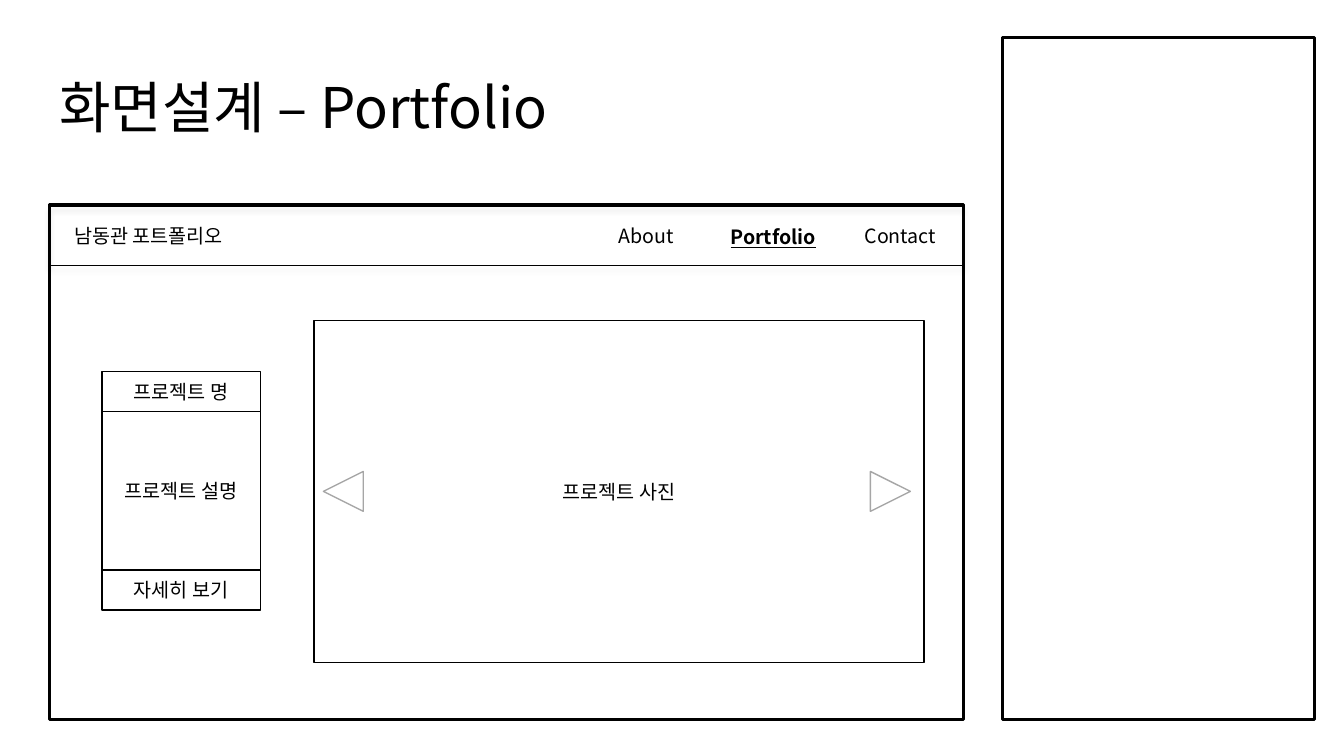
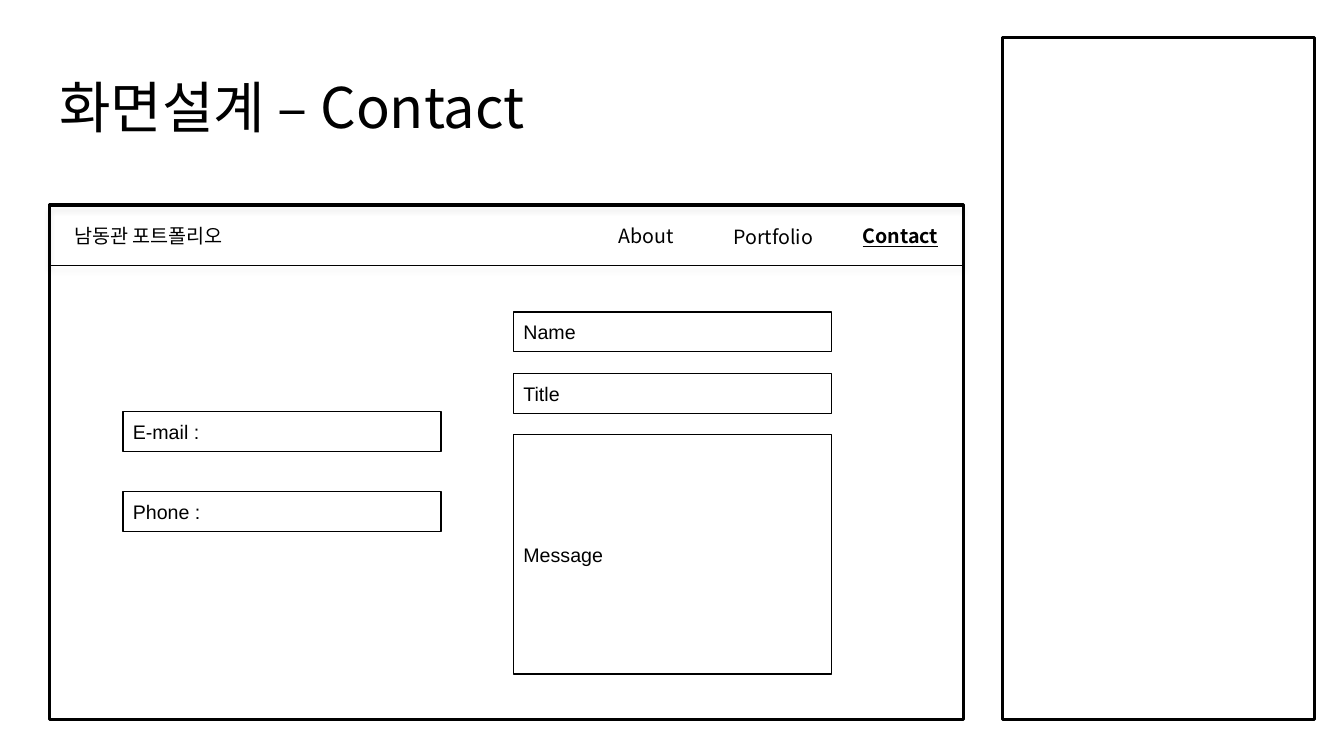
from typing import NamedTuple

from lxml import etree
from pptx import Presentation
from pptx.dml.color import RGBColor
from pptx.enum.shapes import MSO_SHAPE
from pptx.enum.text import MSO_ANCHOR, MSO_AUTO_SIZE, PP_ALIGN
from pptx.oxml.ns import qn
from pptx.presentation import Presentation as Deck
from pptx.shapes.autoshape import Shape
from pptx.slide import Slide
from pptx.util import Emu, Pt

RECTANGLE = MSO_SHAPE.RECTANGLE
LEFT_ARROW, RIGHT_ARROW = MSO_SHAPE.LEFT_ARROW, MSO_SHAPE.RIGHT_ARROW
LEFT, CENTER = PP_ALIGN.LEFT, PP_ALIGN.CENTER
MIDDLE = MSO_ANCHOR.MIDDLE
NO_AUTOFIT = MSO_AUTO_SIZE.NONE

BLACK = RGBColor(0x00, 0x00, 0x00)
WHITE = RGBColor(0xFF, 0xFF, 0xFF)
GRAY = RGBColor(0xA6, 0xA6, 0xA6)
KOREAN_FONT = "Noto Sans CJK KR"
FORM_FONT = "Arial"

EMU_PER_PX = 9525
PAGE_WIDTH, PAGE_HEIGHT = 1280, 720
TITLE_ONLY = 5
ROW_HEIGHT = 38


class Box(NamedTuple):
    left: int
    top: int
    width: int
    height: int

    def emu(self) -> tuple[Emu, ...]:
        return tuple(Emu(length * EMU_PER_PX) for length in self)


class Field(NamedTuple):
    text: str
    box: Box


class Tab(NamedTuple):
    text: str
    top: int


TITLE = Box(47, 36, 871, 139)
SCREEN = Box(47, 195, 871, 490)
NOTES_PANEL = Box(955, 36, 297, 649)
NAV_BAR = Box(47, 196, 871, 57)
BRAND = Field("남동관 포트폴리오", NAV_BAR._replace(width=189))
TABS = (Tab("About", 196), Tab("Portfolio", 197), Tab("Contact", 196))
TAB_WIDTH = 121

PHOTO = Field("프로젝트 사진", Box(299, 305, 581, 326))
CARD_LEFT, CARD_TOP, CARD_WIDTH = 97, 354, 151
CARD_ROWS = (("프로젝트 명", ROW_HEIGHT), ("프로젝트 설명", 151), ("자세히 보기", ROW_HEIGHT))
ARROWS = ((LEFT_ARROW, 308), (RIGHT_ARROW, 829))
ARROW_TOP, ARROW_SIZE = 449, 38

FIELD_WIDTH = 303
FORM_FIELDS = (
    Field("Name", Box(489, 297, FIELD_WIDTH, ROW_HEIGHT)),
    Field("Title", Box(489, 356, FIELD_WIDTH, ROW_HEIGHT)),
    Field("Message", Box(489, 414, FIELD_WIDTH, 228)),
    Field("E-mail :", Box(117, 392, FIELD_WIDTH, ROW_HEIGHT)),
    Field("Phone :", Box(117, 468, FIELD_WIDTH, ROW_HEIGHT)),
)


def write(shape: Shape, text: str, font_name: str, size: int = 14,
          align: PP_ALIGN = CENTER, active: bool = False) -> None:
    """Fill a shape with one paragraph; an active one is bold and underlined."""
    frame = shape.text_frame
    frame.word_wrap = True
    frame.auto_size = NO_AUTOFIT
    frame.vertical_anchor = MIDDLE
    para = frame.paragraphs[0]
    para.text = text
    para.alignment = align
    font = para.font
    font.size = Pt(size)
    font.name = font_name
    font.color.rgb = BLACK
    if active:
        font.bold = font.underline = True
    properties = para._p.pPr.find(qn("a:defRPr"))
    etree.SubElement(properties, qn("a:ea"), typeface=KOREAN_FONT)


def add_outline(page: Slide, box: Box, line_width: float = 1, line_color: RGBColor = BLACK,
                kind: MSO_SHAPE = RECTANGLE) -> Shape:
    shape = page.shapes.add_shape(kind, *box.emu())
    shape.shadow.inherit = False
    shape.fill.background()
    shape.line.color.rgb = line_color
    shape.line.width = Pt(line_width)
    return shape


def add_label(page: Slide, label: Field, active: bool = False) -> None:
    write(page.shapes.add_textbox(*label.box.emu()), label.text, KOREAN_FONT, active=active)


def add_drop_shadow(shape: Shape) -> None:
    effects = shape._element.spPr.find(qn("a:effectLst"))
    shadow = etree.SubElement(effects, qn("a:outerShdw"), blurRad=str(Pt(4)), dist=str(Pt(3)),
                              dir="5400000", algn="t", rotWithShape="0")
    color = etree.SubElement(shadow, qn("a:srgbClr"), val=str(BLACK))
    etree.SubElement(color, qn("a:alpha"), val="40000")


def add_screen_page(deck: Deck, active_tab: str) -> Slide:
    """Add a page with its title, the two frames and the navigation bar."""
    page = deck.slides.add_slide(deck.slide_layouts[TITLE_ONLY])
    title = page.shapes.title
    title.left, title.top, title.width, title.height = TITLE.emu()
    write(title, f"화면설계 – {active_tab}", KOREAN_FONT, size=40, align=LEFT)
    title.text_frame.paragraphs[0].line_spacing = 0.9

    for frame in (SCREEN, NOTES_PANEL):
        add_outline(page, frame, line_width=2.25)

    add_label(page, BRAND)
    first_left = NAV_BAR.left + NAV_BAR.width - len(TABS) * TAB_WIDTH
    for index, tab in enumerate(TABS):
        box = Box(first_left + index * TAB_WIDTH, tab.top, TAB_WIDTH, NAV_BAR.height)
        add_label(page, Field(tab.text, box), active=tab.text == active_tab)
    add_drop_shadow(add_outline(page, NAV_BAR, line_width=0.25))
    return page


def add_portfolio_page(deck: Deck) -> None:
    page = add_screen_page(deck, "Portfolio")
    write(add_outline(page, PHOTO.box), PHOTO.text, FORM_FONT)

    top = CARD_TOP
    for text, height in CARD_ROWS:
        row = add_outline(page, Box(CARD_LEFT, top, CARD_WIDTH, height))
        write(row, text, FORM_FONT)
        top += height

    for kind, left in ARROWS:
        box = Box(left, ARROW_TOP, ARROW_SIZE, ARROW_SIZE)
        arrow = add_outline(page, box, line_color=GRAY, kind=kind)
        arrow.adjustments[0] = arrow.adjustments[1] = 1


def add_contact_page(deck: Deck) -> None:
    page = add_screen_page(deck, "Contact")
    for field in FORM_FIELDS:
        shape = add_outline(page, field.box)
        shape.fill.solid()
        shape.fill.fore_color.rgb = WHITE
        write(shape, field.text, FORM_FONT, align=LEFT)


def main() -> None:
    deck = Presentation()
    deck.slide_width = Emu(PAGE_WIDTH * EMU_PER_PX)
    deck.slide_height = Emu(PAGE_HEIGHT * EMU_PER_PX)
    add_portfolio_page(deck)
    add_contact_page(deck)
    deck.save("out.pptx")


if __name__ == "__main__":
    main()
